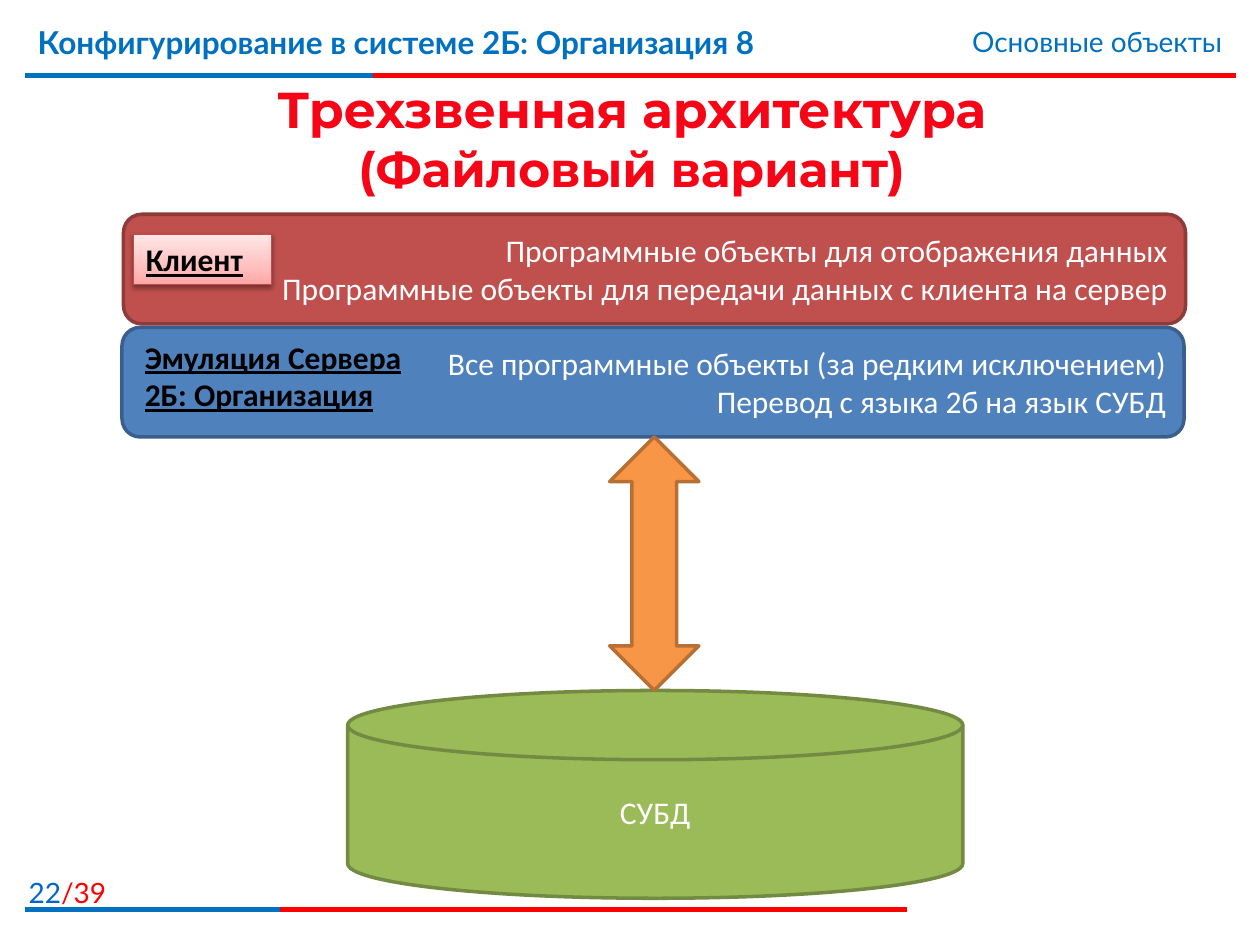
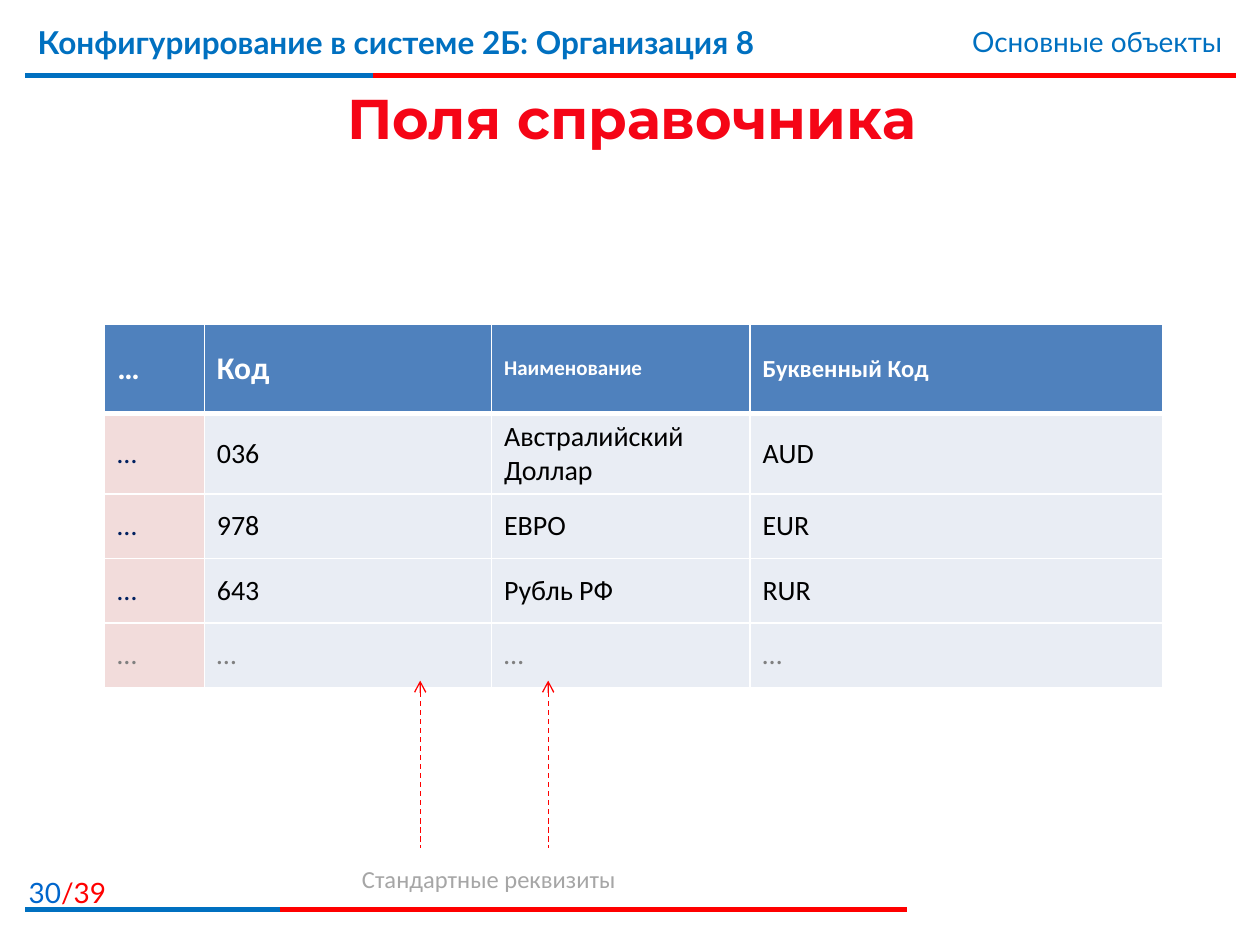
from dataclasses import dataclass

from lxml import etree
from pptx import Presentation
from pptx.dml.color import RGBColor
from pptx.enum.dml import MSO_LINE
from pptx.enum.shapes import MSO_CONNECTOR, MSO_SHAPE
from pptx.enum.text import MSO_ANCHOR, PP_ALIGN
from pptx.oxml import parse_xml
from pptx.oxml.ns import qn
from pptx.util import Cm, Pt

LEFT, CENTER, RIGHT = PP_ALIGN.LEFT, PP_ALIGN.CENTER, PP_ALIGN.RIGHT
TOP, MIDDLE = MSO_ANCHOR.TOP, MSO_ANCHOR.MIDDLE
ROUNDED, RECTANGLE = MSO_SHAPE.ROUNDED_RECTANGLE, MSO_SHAPE.RECTANGLE
DISK, DOUBLE_ARROW = MSO_SHAPE.FLOWCHART_MAGNETIC_DISK, MSO_SHAPE.UP_DOWN_ARROW
STRAIGHT, DASH = MSO_CONNECTOR.STRAIGHT, MSO_LINE.DASH
NAMESPACE = 'xmlns:a="http://schemas.openxmlformats.org/drawingml/2006/main"'


@dataclass(frozen=True)
class Theme:
    # Fonts
    body_font: str = "Calibri"
    frame_font: str = "Lato"
    title_font: str = "Montserrat"
    # Type sizes
    title: float = 32
    body: float = 18
    small: float = 16
    note: float = 14
    tiny: float = 12
    # Colours
    white: str = "FFFFFF"
    black: str = "000000"
    red: str = "FF0000"
    blue: str = "0070C0"
    page_blue: str = "0066CC"
    title_red: str = "F50516"
    navy: str = "002060"
    gray: str = "808080"
    light_gray: str = "A6A6A6"
    header_fill: str = "4F81BD"
    cell_fill: str = "E9EDF4"
    side_fill: str = "F2DCDB"
    # Fill and outline pairs
    client: tuple = ("C0504D", "8E3B39")
    server: tuple = ("4F81BD", "3A5F8C")
    database: tuple = ("9BBB59", "738A42")
    exchange: tuple = ("F79646", "B76F34")
    # Client label: gradient from bottom to top, and outline
    label_stops: tuple = ((0, "FFA6A5"), (35, "FFC0BF"), (100, "FFE7E7"))
    label_line: str = "BF4C48"


THEME = Theme()
PAGE_COUNT = 39
COURSE = "Конфигурирование в системе 2Б: Организация 8"
SECTION = "Основные объекты"


def rgb(value):
    return RGBColor.from_string(value)


def write(frame, text, size=THEME.body, color=THEME.black, font=THEME.body_font,
          bold=False, underline=False, align=LEFT, anchor=TOP, continues=False):
    """Add a paragraph, or continue the last one; a newline is a line break."""
    frame.vertical_anchor = anchor
    para = frame.paragraphs[-1]
    if para.runs and not continues:
        para = frame.add_paragraph()
    para.alignment = align
    for number, line in enumerate(text.split("\n")):
        if number:
            para.add_line_break()
        if not line:
            continue
        span = para.add_run()
        span.text = line
        span.font.name = font
        span.font.size = Pt(size)
        span.font.bold = bold
        span.font.underline = underline
        span.font.color.rgb = rgb(color)


def add_text(page, place, text, wrap=True, **text_format):
    box = page.shapes.add_textbox(*map(Cm, place))
    box.text_frame.word_wrap = wrap
    write(box.text_frame, text, **text_format)
    return box


def add_box(page, kind, place, colors):
    box = page.shapes.add_shape(kind, *map(Cm, place))
    fill, line = colors
    box.shadow.inherit = False
    box.fill.solid()
    box.fill.fore_color.rgb = rgb(fill)
    box.line.color.rgb = rgb(line)
    box.line.width = Pt(2)
    return box


def add_line(page, start, end, color, width, dashed_arrow=False):
    line = page.shapes.add_connector(STRAIGHT, *map(Cm, start + end))
    line.line.color.rgb = rgb(color)
    line.line.width = Pt(width)
    if dashed_arrow:
        line.line.dash_style = DASH
        etree.SubElement(line.line._get_or_add_ln(), qn("a:headEnd"), type="arrow")
    etree.SubElement(line._element.spPr, qn("a:effectLst"))


def add_two_color_rule(page, top, blue_end, red_end):
    for end, color in ((red_end, THEME.red), (blue_end, THEME.blue)):
        add_line(page, (0.51, top), (end, top), color, 3)


def add_page(deck, number):
    """Add a page with the shared header and footer."""
    page = deck.slides.add_slide(deck.slide_layouts[6])
    add_two_color_rule(page, 1.52, 7.52, 24.92)
    add_two_color_rule(page, 18.34, 5.64, 18.29)
    frame_style = {"font": THEME.frame_font, "size": THEME.small}
    counter = add_text(page, (0, 17.53, 2.39, 0.81), str(number),
                       color=THEME.page_blue, align=RIGHT, **frame_style)
    write(counter.text_frame, f"/{PAGE_COUNT}", color=THEME.red, align=RIGHT,
          continues=True, **frame_style)
    add_text(page, (0.51, 0.33, 18.8, 1.57), COURSE, font=THEME.frame_font,
             color=THEME.blue, bold=True)
    add_text(page, (15.09, 0.38, 9.8, 0.94), SECTION, color=THEME.blue,
             align=RIGHT, **frame_style)
    return page


def add_title(page, height, *lines):
    """Add a title from (text, size) lines."""
    box = page.shapes.add_textbox(Cm(0.53), Cm(1.6), Cm(24.41), Cm(height))
    box.text_frame.word_wrap = True
    for text, size in lines:
        write(box.text_frame, text, size=size, color=THEME.title_red,
              font=THEME.title_font, bold=True, align=CENTER, anchor=MIDDLE,
              continues=True)


def add_layer(page, place, colors, *texts):
    """Add one tier of the architecture with its duties on the right."""
    box = add_box(page, ROUNDED, place, colors)
    for text in texts:
        write(box.text_frame, text, color=THEME.white, align=RIGHT, anchor=MIDDLE)


def add_glossy_label(page, place, text):
    box = add_box(page, RECTANGLE, place, (THEME.white, THEME.label_line))
    box.line.width = Pt(0.75)
    stops = "".join(f'<a:gs pos="{position * 1000}"><a:srgbClr val="{color}"/></a:gs>'
                    for position, color in THEME.label_stops)
    properties = box._element.spPr
    properties.replace(properties.find(qn("a:solidFill")), parse_xml(
        f'<a:gradFill {NAMESPACE}><a:gsLst>{stops}</a:gsLst>'
        '<a:lin ang="16200000" scaled="0"/></a:gradFill>'))
    properties.replace(properties.find(qn("a:effectLst")), parse_xml(
        f'<a:effectLst {NAMESPACE}><a:outerShdw blurRad="39370" dist="20320" '
        f'dir="5400000" rotWithShape="0"><a:srgbClr val="{THEME.black}">'
        '<a:alpha val="38000"/></a:srgbClr></a:outerShdw></a:effectLst>'))
    write(box.text_frame, text, bold=True, underline=True)


def set_borders(cell, **widths):
    for side in "LRTB":
        width = Pt(widths.get(side, 1))
        cell._tc.get_or_add_tcPr().append(parse_xml(
            f'<a:ln{side} {NAMESPACE} w="{width}"><a:solidFill>'
            f'<a:srgbClr val="{THEME.white}"/></a:solidFill></a:ln{side}>'))


def fill_cell(cell, text, fill, borders, **text_format):
    set_borders(cell, **borders)
    cell.fill.solid()
    cell.fill.fore_color.rgb = rgb(fill)
    write(cell.text_frame, text, **text_format)
    cell.vertical_anchor = MIDDLE


def add_directory_table(page, place, widths, heights, headings, records):
    """Add a table from (text, size) headings and rows of text."""
    table = page.shapes.add_table(len(heights), len(widths), *map(Cm, place)).table
    for column, width in zip(table.columns, widths):
        column.width = Cm(width)
    for row, height in zip(table.rows, heights):
        row.height = Cm(height)
    for column, (text, size) in enumerate(headings):
        fill_cell(table.cell(0, column), text, THEME.header_fill, {"B": 3},
                  size=size, color=THEME.white, bold=True)
    for row, record in enumerate(records, start=1):
        borders = {"T": 3} if row == 1 else {}
        for column, text in enumerate(record):
            fill = THEME.cell_fill if column else THEME.side_fill
            color = THEME.black if column else THEME.navy
            if row == len(records):
                color = THEME.gray
            fill_cell(table.cell(row, column), text, fill, borders,
                      size=THEME.small, color=color)


def build_architecture(deck):
    page = add_page(deck, 22)
    add_title(page, 2.36, ("Трехзвенная архитектура\n", 28.8),
              ("(Файловый вариант)", 27.9))

    # Database
    database = add_box(page, DISK, (7.01, 13.92, 12.4, 4.19), THEME.database)
    write(database.text_frame, "СУБД", color=THEME.white, align=CENTER, anchor=MIDDLE)

    # Client
    add_layer(page, (2.49, 4.32, 21.41, 2.21), THEME.client,
              "Программные объекты для отображения данных\n"
              "Программные объекты для передачи данных с клиента на сервер")
    add_glossy_label(page, (2.69, 4.72, 2.79, 1.02), "Клиент")

    # Emulated server
    add_layer(page, (2.46, 6.6, 21.41, 2.21), THEME.server,
              "Все программные объекты (за редким исключением)",
              "Перевод с языка 2б на язык СУБД")
    add_text(page, (2.67, 6.68, 6.4, 1.8), "Эмуляция Сервера 2Б: Организация",
             bold=True, underline=True)

    # Exchange between server and database
    add_box(page, DOUBLE_ARROW, (12.29, 8.81, 1.8, 5.11), THEME.exchange)


def build_directory_fields(deck):
    page = add_page(deck, 30)
    add_title(page, 1.52, ("Поля справочника", THEME.title))

    # Currency directory
    add_directory_table(
        page, (2.11, 6.53, 21.34, 7.33),
        widths=(2.01, 5.79, 5.21, 8.33),
        heights=(1.8, 1.63, 1.3, 1.3, 1.3),
        headings=(("…", THEME.body), ("Код", THEME.body),
                  ("Наименование", THEME.tiny), ("Буквенный Код", THEME.note)),
        records=(("…", "036", "Австралийский Доллар", "АUD"),
                 ("…", "978", "ЕВРО", "EUR"),
                 ("…", "643", "Рубль РФ", "RUR"),
                 ("…",) * 4))

    # Standard attributes
    for left in (8.47, 11.05):
        add_line(page, (left, 13.72), (left, 17.09), THEME.red, 0.75, dashed_arrow=True)
    add_text(page, (7.01, 17.3, 5.69, 0.86), "Стандартные реквизиты", wrap=False,
             size=THEME.note, color=THEME.light_gray, align=CENTER)


def main():
    deck = Presentation()
    deck.slide_width, deck.slide_height = Cm(25.4), Cm(19.05)
    build_architecture(deck)
    build_directory_fields(deck)
    deck.save("out.pptx")


if __name__ == "__main__":
    main()
